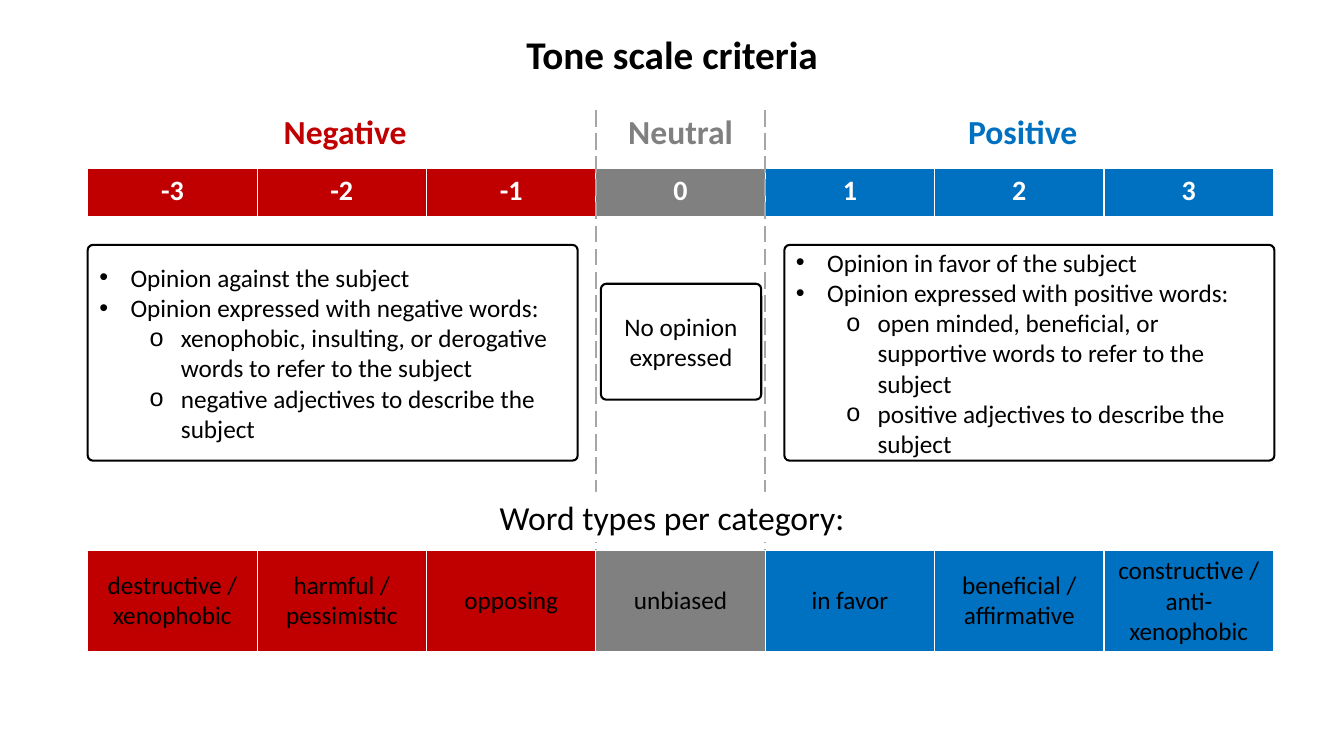
from lxml.etree import SubElement
from pptx import Presentation
from pptx.dml.color import RGBColor
from pptx.enum.dml import MSO_LINE
from pptx.enum.shapes import MSO_CONNECTOR, MSO_SHAPE
from pptx.enum.text import MSO_ANCHOR, MSO_AUTO_SIZE, PP_ALIGN
from pptx.oxml.ns import qn
from pptx.util import Inches, Pt

FONT = "Calibri"
COLORS = {
    "negative": "C00000",
    "neutral": "808080",
    "positive": "0070C0",
    "text": "000000",
    "white": "FFFFFF",
    "divider": "A6A6A6",
}
PAGE_WIDTH, PAGE_HEIGHT = 13.33, 7.5

# Grid: seven equal columns, one for each tone score
GRID_LEFT, COLUMN = 0.87, 1.68
TONES = ["negative"] * 3 + ["neutral"] + ["positive"] * 3
SCORES = ["-3", "-2", "-1", "0", "1", "2", "3"]
WORD_TYPES = [
    "destructive / xenophobic", "harmful / pessimistic", "opposing", "unbiased",
    "in favor", "beneficial / affirmative", "constructive / anti-xenophobic",
]
LABEL_TOP, LABEL_HEIGHT = 1.05, 0.5
CARD_TOP, CARD_HEIGHT, CARD_WIDTH = 2.43, 2.14, 4.86
WORDS_TOP = 5.46

# Each criterion is an indent level and its text
NEGATIVE_CRITERIA = [
    (0, "Opinion against the subject"),
    (0, "Opinion expressed with negative words:"),
    (1, "xenophobic, insulting, or derogative words to refer to the subject"),
    (1, "negative adjectives to describe the subject"),
]
POSITIVE_CRITERIA = [
    (0, "Opinion in favor of the subject"),
    (0, "Opinion expressed with positive words:"),
    (1, "open minded, beneficial, or supportive words to refer to the subject"),
    (1, "positive adjectives to describe the subject"),
]


def column_x(index):
    return GRID_LEFT + index * COLUMN


def color(name):
    return RGBColor.from_string(COLORS[name])


def style_text(frame, size, color_name="text", bold=False, align=PP_ALIGN.CENTER):
    for para in frame.paragraphs:
        para.alignment = align
        for span in para.runs:
            span.font.name = FONT
            span.font.size = Pt(size)
            span.font.bold = bold
            span.font.color.rgb = color(color_name)


def place(box, left, top, width, height):
    box.left, box.top = Inches(left), Inches(top)
    box.width, box.height = Inches(width), Inches(height)


def outline(box):
    box.fill.background()
    box.line.color.rgb = color("text")
    box.line.width = Pt(1.5)
    box.text_frame.vertical_anchor = MSO_ANCHOR.MIDDLE


def add_title(page, text):
    title = page.shapes.title
    place(title, 0.2 * PAGE_WIDTH, 0.25, 0.6 * PAGE_WIDTH, 0.57)
    title.text_frame.text = text
    title.text_frame.auto_size = MSO_AUTO_SIZE.NONE
    title.text_frame.vertical_anchor = MSO_ANCHOR.TOP
    style_text(title.text_frame, 28, bold=True)


def add_label(page, text, center, top, width, color_name="text", bold=True):
    box = page.shapes.add_textbox(Inches(center - width / 2), Inches(top),
                                  Inches(width), Inches(LABEL_HEIGHT))
    box.text_frame.text = text
    box.text_frame.word_wrap = False
    style_text(box.text_frame, 24, color_name, bold)
    return box


def add_score_row(page, texts, top, height, size, color_name, bold, anchor):
    frame = page.shapes.add_table(1, len(texts), Inches(GRID_LEFT), Inches(top),
                                  Inches(COLUMN * len(texts)), Inches(height))
    table = frame.table
    table.horz_banding = False
    for index, (text, tone) in enumerate(zip(texts, TONES)):
        table.columns[index].width = Inches(COLUMN)
        cell = table.cell(0, index)
        cell.text_frame.text = text
        cell.vertical_anchor = anchor
        cell.fill.solid()
        cell.fill.fore_color.rgb = color(tone)
        style_text(cell.text_frame, size, color_name, bold)


def add_bullet(para, level):
    para.level = level
    para.space_before = Pt(0)
    properties = para._p.get_or_add_pPr()
    properties.set("marL", str(Inches(0.31 + 0.5 * level)))
    properties.set("indent", str(Inches(-0.31)))
    SubElement(properties, qn("a:buChar")).set("char", "•o"[level])


def fill_criteria(box, left, criteria):
    place(box, left, CARD_TOP, CARD_WIDTH, CARD_HEIGHT)
    # Rounded outline for the body placeholder
    geometry = SubElement(box._element.spPr, qn("a:prstGeom"))
    geometry.set("prst", "roundRect")
    guide = SubElement(SubElement(geometry, qn("a:avLst")), qn("a:gd"))
    guide.set("name", "adj")
    guide.set("fmla", "val 2400")
    outline(box)

    frame = box.text_frame
    frame.auto_size = MSO_AUTO_SIZE.NONE
    frame.text = "\n".join(text for _, text in criteria)
    for para, (level, _) in zip(frame.paragraphs, criteria):
        add_bullet(para, level)
    style_text(frame, 18, align=PP_ALIGN.LEFT)


def add_neutral_card(page, text):
    height = 1.15
    box = page.shapes.add_shape(
        MSO_SHAPE.ROUNDED_RECTANGLE, Inches(column_x(3) + 0.05),
        Inches(CARD_TOP + (CARD_HEIGHT - height) / 2 - 0.11),
        Inches(COLUMN - 0.09), Inches(height))
    box.adjustments[0] = 0.046
    box.shadow.inherit = False
    outline(box)
    box.text_frame.text = text
    style_text(box.text_frame, 18)


def add_divider(page, x):
    line = page.shapes.add_connector(MSO_CONNECTOR.STRAIGHT, Inches(x), Inches(1.09),
                                     Inches(x), Inches(WORDS_TOP))
    line.line.color.rgb = color("divider")
    line.line.width = Pt(1.5)
    line.line.dash_style = MSO_LINE.LONG_DASH
    SubElement(line._element.spPr, qn("a:effectLst"))


def main():
    deck = Presentation()
    deck.slide_width, deck.slide_height = Inches(PAGE_WIDTH), Inches(PAGE_HEIGHT)
    page = deck.slides.add_slide(deck.slide_layouts.get_by_name("Two Content"))

    # Title and tone scale
    add_title(page, "Tone scale criteria")
    add_score_row(page, SCORES, 1.67, 0.48, 20, "white", True, MSO_ANCHOR.TOP)

    # Criteria for each tone
    _, negative_box, positive_box = page.placeholders
    fill_criteria(negative_box, GRID_LEFT, NEGATIVE_CRITERIA)
    fill_criteria(positive_box, column_x(7) + 0.01 - CARD_WIDTH, POSITIVE_CRITERIA)
    add_neutral_card(page, "No opinion expressed")
    add_label(page, "Negative", column_x(1.52), LABEL_TOP, 1.44, "negative")
    add_label(page, "Neutral", column_x(3.5), LABEL_TOP, 1.25, "neutral")
    add_label(page, "Positive", column_x(5.52), LABEL_TOP, 1.3, "positive")

    # Word types, with dividers running down behind the caption
    add_score_row(page, WORD_TYPES, WORDS_TOP, 1, 18, "text", False, MSO_ANCHOR.MIDDLE)
    for index in (3, 4):
        add_divider(page, column_x(index))
    caption = add_label(page, "Word types per category:", PAGE_WIDTH / 2, 4.88, 3.65,
                        bold=False)
    caption.fill.solid()
    caption.fill.fore_color.rgb = color("white")

    deck.save("out.pptx")


if __name__ == "__main__":
    main()
